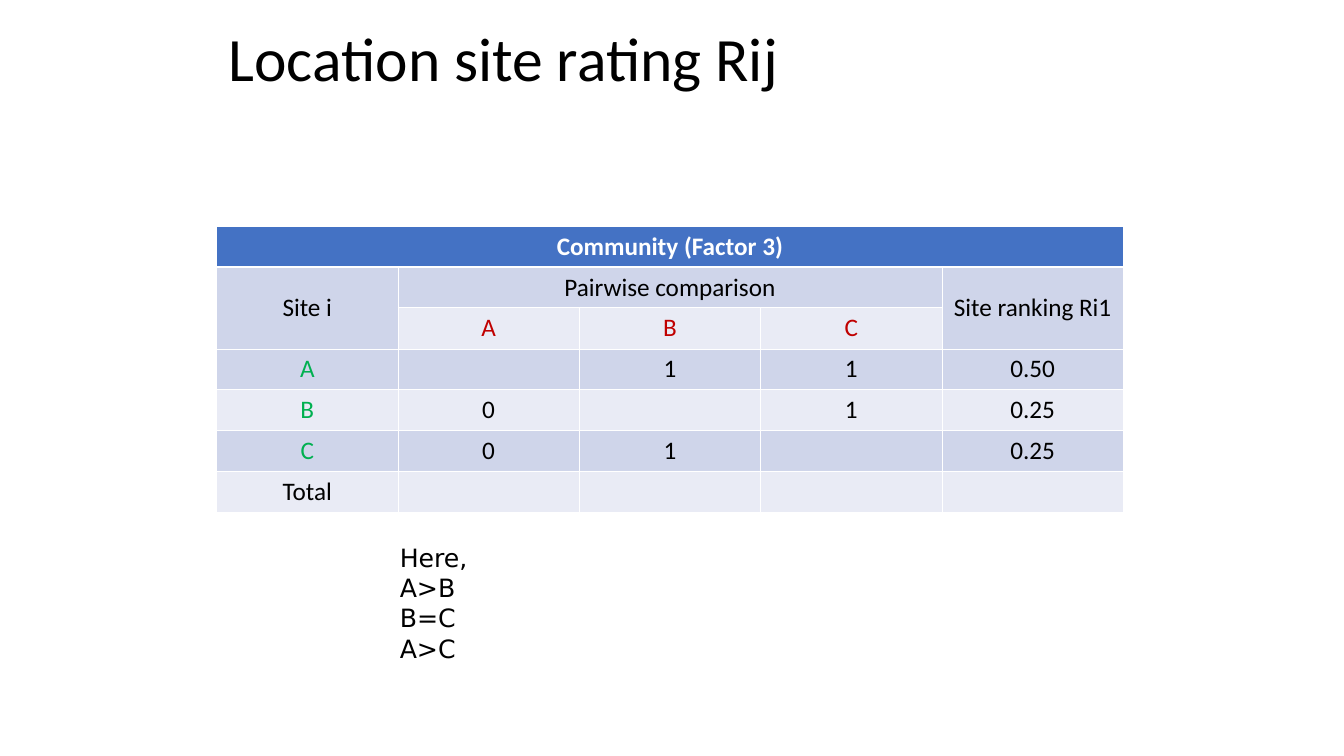
from dataclasses import dataclass

from lxml import etree
from pptx import Presentation
from pptx.dml.color import RGBColor
from pptx.enum.text import MSO_ANCHOR, MSO_AUTO_SIZE, PP_ALIGN
from pptx.oxml.ns import qn
from pptx.slide import Slide
from pptx.table import Table, _Cell
from pptx.text.text import TextFrame
from pptx.util import Inches, Pt

MIDDLE = MSO_ANCHOR.MIDDLE
TOP = MSO_ANCHOR.TOP
CENTER = PP_ALIGN.CENTER
FIT_SHAPE = MSO_AUTO_SIZE.SHAPE_TO_FIT_TEXT

BLACK, WHITE = "000000", "FFFFFF"
COLUMN_SITE, ROW_SITE = "C00000", "00B050"
HEADER_FILL = "4472C4"
BAND_FILLS = ("E9EBF5", "CFD5EA")
THIN_BORDER, HEADER_BORDER = 0.45, 1.47
COLUMN_WIDTH = 1.8
ROW_HEIGHTS = (0.41, 0.4, 0.41, 0.4, 0.41, 0.4, 0.41)

RATINGS = (
    ("Community (Factor 3)", "", "", "", ""),
    ("Site i", "Pairwise comparison", "", "", "Site ranking Ri1"),
    ("", "A", "B", "C", ""),
    ("A", "", "1", "1", "0.50"),
    ("B", "0", "", "1", "0.25"),
    ("C", "0", "1", "", "0.25"),
    ("Total", "", "", "", ""),
)


@dataclass(frozen=True)
class TextBox:
    text: str
    left: float
    top: float
    width: float
    height: float
    font_name: str
    size: float
    wrap: bool
    anchor: MSO_ANCHOR
    line_spacing: float


@dataclass(frozen=True)
class Merge:
    first_row: int
    first_column: int
    last_row: int
    last_column: int


TEXT_BOXES = (
    TextBox("Location site rating Rij", 2.17, 0.17, 9, 0.88, "Calibri", 44, True, MIDDLE, 0.9),
    TextBox("Here,\nA>B\nB=C\nA>C", 3.87, 5.33, 0.9, 1.3, "DejaVu Sans", 18, False, TOP, 1.0),
)
MERGES = (Merge(0, 0, 0, 4), Merge(1, 0, 2, 0), Merge(1, 1, 1, 3), Merge(1, 4, 2, 4))


def rgb(color: str) -> RGBColor:
    return RGBColor.from_string(color)


def format_text(
    text_frame: TextFrame, font_name: str, size: float, color: str, bold: bool = False
) -> None:
    for paragraph in text_frame.paragraphs:
        paragraph.font.size = Pt(size)
        for run in paragraph.runs:
            run.font.name = font_name
            run.font.size = Pt(size)
            run.font.bold = bold
            run.font.color.rgb = rgb(color)


def add_text_box(slide: Slide, box: TextBox) -> None:
    shape = slide.shapes.add_textbox(
        Inches(box.left), Inches(box.top), Inches(box.width), Inches(box.height)
    )
    text_frame = shape.text_frame
    text_frame.text = box.text
    text_frame.word_wrap = box.wrap
    text_frame.vertical_anchor = box.anchor
    if not box.wrap:
        text_frame.auto_size = FIT_SHAPE
    for paragraph in text_frame.paragraphs:
        paragraph.line_spacing = box.line_spacing
    format_text(text_frame, box.font_name, box.size, BLACK)


def add_borders(cell: _Cell, row: int) -> None:
    widths = {
        "a:lnL": THIN_BORDER,
        "a:lnR": THIN_BORDER,
        "a:lnT": HEADER_BORDER if row == 1 else THIN_BORDER,
        "a:lnB": HEADER_BORDER if row == 0 else THIN_BORDER,
    }
    properties = cell._tc.get_or_add_tcPr()
    for side, width in widths.items():
        line = etree.SubElement(properties, qn(side), w=str(Pt(width)))
        fill = etree.SubElement(line, qn("a:solidFill"))
        etree.SubElement(fill, qn("a:srgbClr"), val=WHITE)


def text_color(row: int, column: int) -> str:
    if row == 0:
        return WHITE
    if row == 2:
        return COLUMN_SITE
    if column == 0 and 3 <= row <= 5:
        return ROW_SITE
    return BLACK


def fill_cell(table: Table, row: int, column: int, text: str) -> None:
    cell = table.cell(row, column)
    add_borders(cell, row)
    cell.fill.solid()
    cell.fill.fore_color.rgb = rgb(HEADER_FILL if row == 0 else BAND_FILLS[row % 2])
    cell.vertical_anchor = MIDDLE
    cell.text_frame.text = text
    cell.text_frame.paragraphs[0].alignment = CENTER
    format_text(cell.text_frame, "Calibri", 18, text_color(row, column), row == 0)


def add_rating_table(slide: Slide) -> None:
    column_count = len(RATINGS[0])
    table = slide.shapes.add_table(
        len(RATINGS),
        column_count,
        Inches(2.15),
        Inches(2.24),
        Inches(COLUMN_WIDTH * column_count),
        Inches(sum(ROW_HEIGHTS)),
    ).table
    for column in table.columns:
        column.width = Inches(COLUMN_WIDTH)
    for table_row, height in zip(table.rows, ROW_HEIGHTS):
        table_row.height = Inches(height)
    for row, values in enumerate(RATINGS):
        for column_index, text in enumerate(values):
            fill_cell(table, row, column_index, text)
    for merge in MERGES:
        last_cell = table.cell(merge.last_row, merge.last_column)
        table.cell(merge.first_row, merge.first_column).merge(last_cell)


def main() -> None:
    presentation = Presentation()
    presentation.slide_width = Inches(13.34)
    presentation.slide_height = Inches(7.5)
    slide = presentation.slides.add_slide(presentation.slide_layouts[6])
    title, preferences = TEXT_BOXES
    add_text_box(slide, title)
    add_rating_table(slide)
    add_text_box(slide, preferences)
    presentation.save("out.pptx")


if __name__ == "__main__":
    main()
